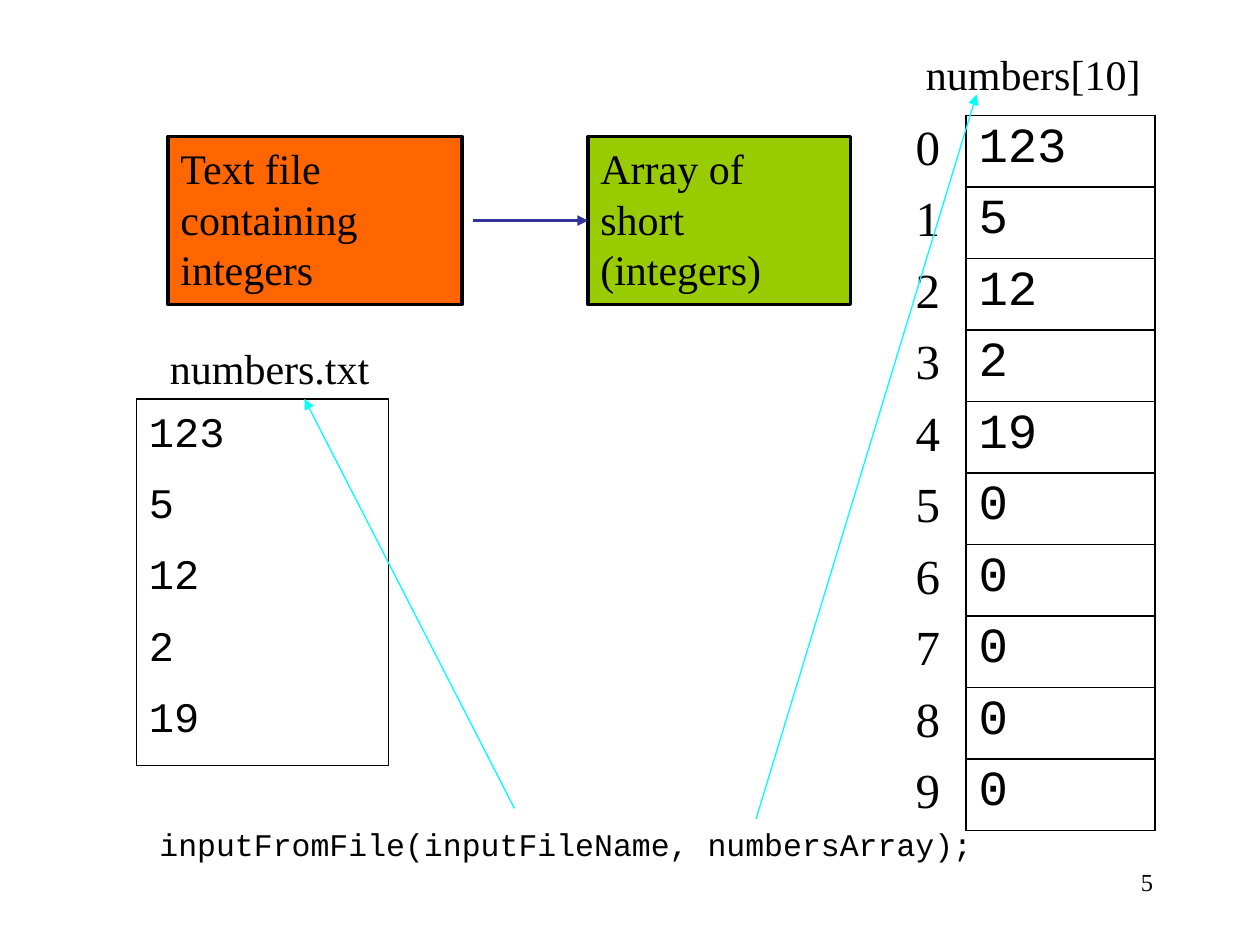
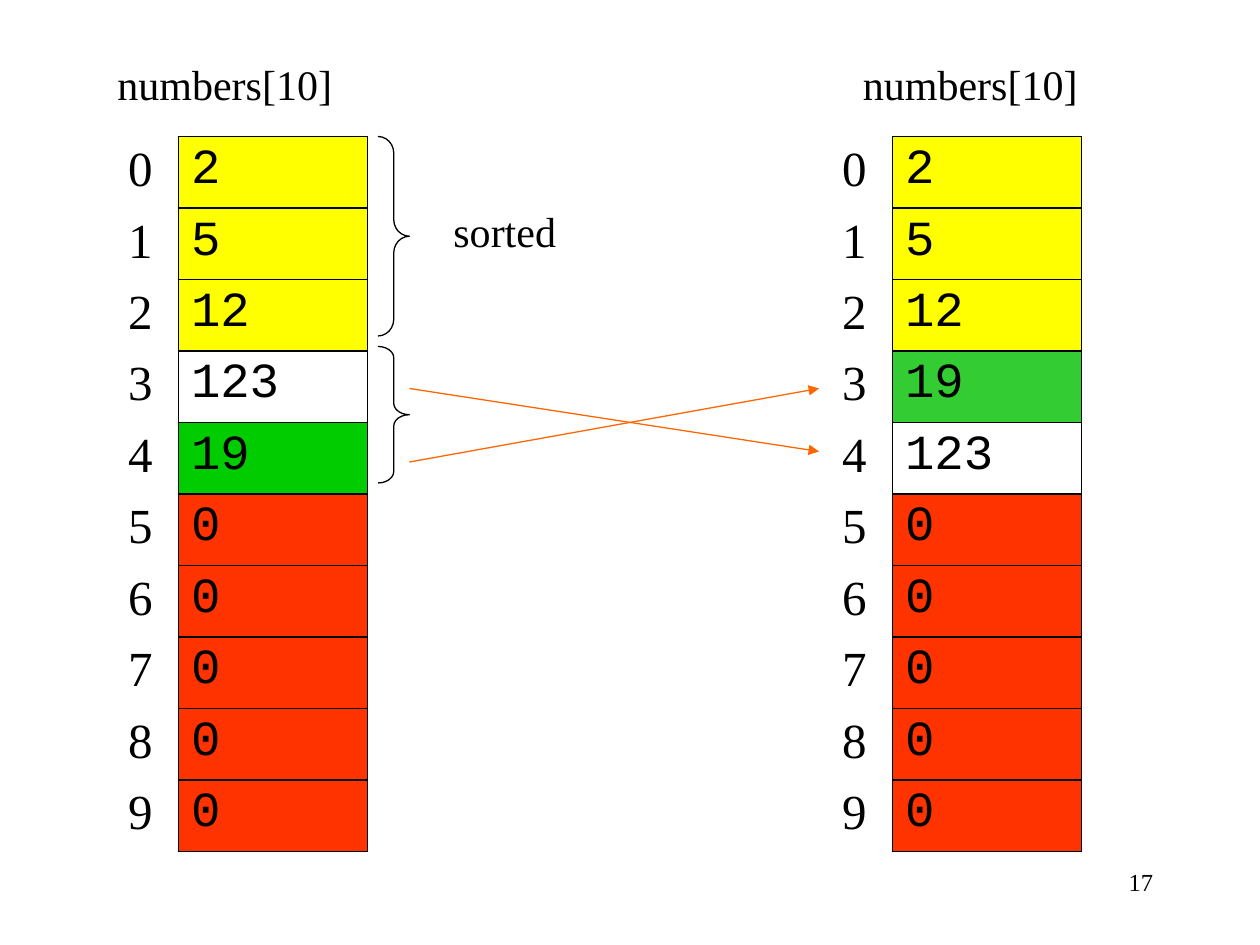
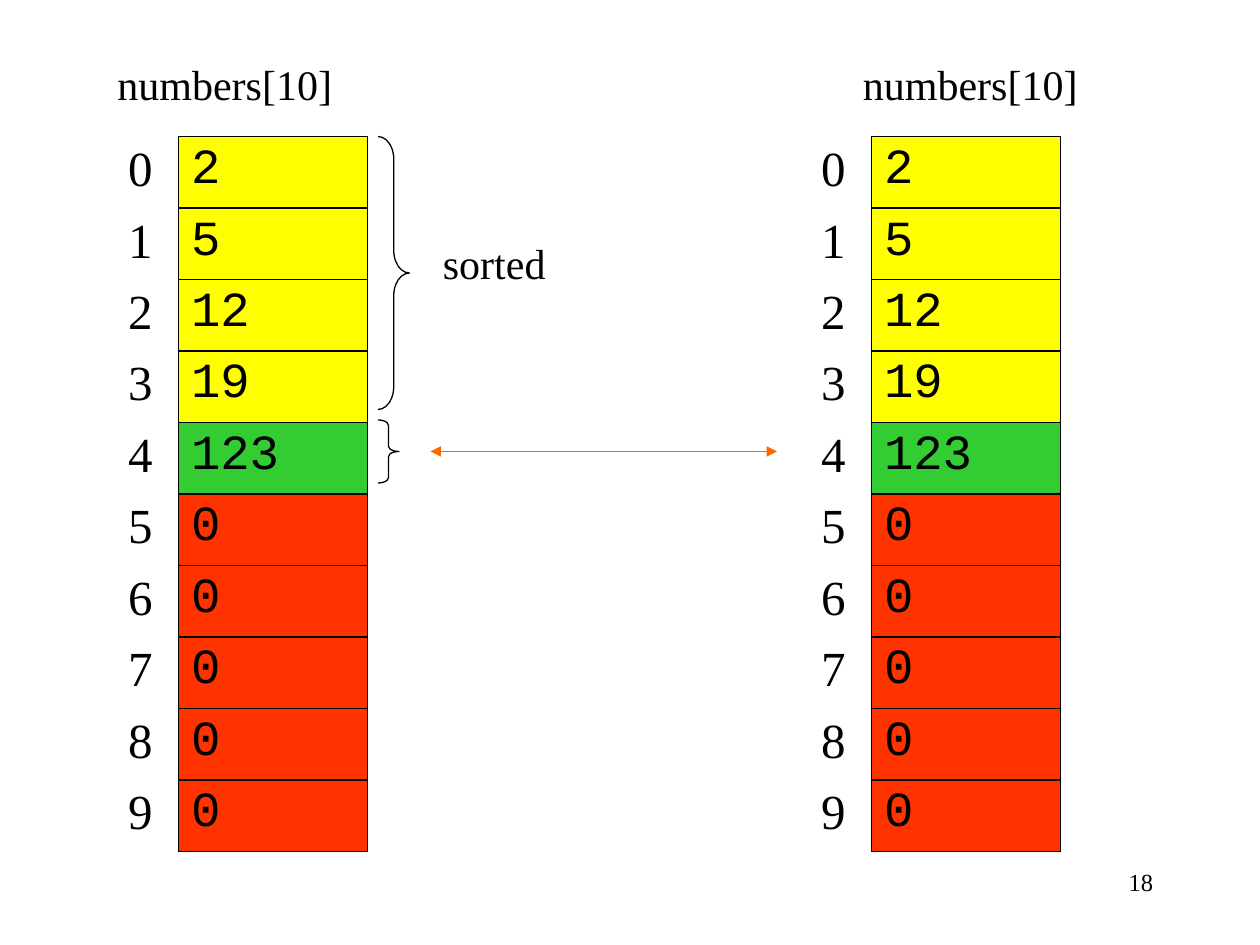
from lxml import etree
from pptx import Presentation
from pptx.dml.color import RGBColor
from pptx.enum.shapes import MSO_CONNECTOR as Connector, MSO_SHAPE as Shape
from pptx.enum.text import MSO_ANCHOR as Anchor, PP_ALIGN as Align
from pptx.oxml.ns import qn
from pptx.util import Pt

PX = 6350  # EMU per px, 144 px to the inch
SERIF, MONO = "Times New Roman", "Courier New"
BLACK, CYAN, NAVY = "000000", "00FFFF", "333399"
ORANGE, LIME = "FF6600", "99CC00"
YELLOW, GREEN, BRIGHT_GREEN, RED = "FFFF00", "33CC33", "00CC00", "FF3300"
INDEX_WIDTH, VALUE_WIDTH, TABLE_HEIGHT = 72, 216, 816


def paint(fill, colour):
    """Give a fill a solid colour, or make it transparent."""
    if colour is None:
        fill.background()
    else:
        fill.solid()
        fill.fore_color.rgb = RGBColor.from_string(colour)


def write(frame, text, font=SERIF, size=24, align=Align.LEFT, before=50):
    """Write one paragraph per line, spaced by a percentage of the text size."""
    frame.word_wrap = True
    for number, line in enumerate(text.split("\n")):
        para = frame.add_paragraph() if number else frame.paragraphs[0]
        para.alignment = align
        if before:
            spacing = etree.SubElement(para._p.get_or_add_pPr(), qn("a:spcBef"))
            etree.SubElement(spacing, qn("a:spcPct"), val=str(before * 1000))
        span = para.add_run()
        span.text = line
        span.font.name = font
        span.font.size = Pt(size)
        paint(span.font.fill, BLACK)


# Content: places are left, top, width, height; arrows run from x, y to x, y
pages = [
    dict(
        number="5",
        boxes=[
            ((192, 156, 336, 192), "Text file containing integers", SERIF, ORANGE, 2),
            ((156, 456, 288, 419), "123\n5\n12\n2\n19", MONO, None, 0.75),
            ((672, 156, 300, 192), "Array of short (integers)", SERIF, LIME, 2),
        ],
        labels=[
            ((180, 384, 348, 72), "numbers.txt", SERIF, 24),
            ((1044, 48, 312, 72), "numbers[10]", SERIF, 24),
            ((168, 936, 960, 58), "inputFromFile(inputFileName, numbersArray);", MONO, 18),
        ],
        tables=[(1032, 132, [123, 5, 12, 2, 19], [None] * 10)],
        braces=[],
        arrows=[
            ((540, 252, 672, 252), NAVY, 2, ["tailEnd"]),
            ((588, 924, 348, 456), CYAN, 0.75, ["tailEnd"]),
            ((864, 936, 1116, 108), CYAN, 0.75, ["tailEnd"]),
        ],
    ),
    dict(
        number="17",
        boxes=[],
        labels=[
            ((120, 60, 312, 72), "numbers[10]", SERIF, 24),
            ((972, 60, 312, 72), "numbers[10]", SERIF, 24),
            ((504, 228, 168, 72), "sorted", SERIF, 24),
        ],
        tables=[
            (132, 156, [2, 5, 12, 123, 19], [YELLOW] * 3 + [None, BRIGHT_GREEN] + [RED] * 5),
            (948, 156, [2, 5, 12, 19, 123], [YELLOW] * 3 + [GREEN, None] + [RED] * 5),
        ],
        braces=[((432, 156, 36, 228), 0.53), ((432, 396, 36, 156), 0.36)],
        arrows=[
            ((468, 528, 936, 444), ORANGE, 0.75, ["tailEnd"]),
            ((468, 444, 936, 516), ORANGE, 0.75, ["tailEnd"]),
        ],
    ),
    dict(
        number="18",
        boxes=[],
        labels=[
            ((120, 60, 312, 72), "numbers[10]", SERIF, 24),
            ((972, 60, 312, 72), "numbers[10]", SERIF, 24),
            ((492, 264, 168, 72), "sorted", SERIF, 24),
        ],
        tables=[
            (left, 156, [2, 5, 12, 19, 123], [YELLOW] * 4 + [GREEN] + [RED] * 5)
            for left in (132, 924)
        ],
        braces=[((432, 156, 36, 312), 0.72), ((432, 480, 24, 72), 0.25)],
        arrows=[((492, 516, 888, 516), ORANGE, 0.75, ["headEnd", "tailEnd"])],
    ),
]

deck = Presentation()
deck.slide_width, deck.slide_height = 1440 * PX, 1080 * PX

for content in pages:
    page = deck.slides.add_slide(deck.slide_layouts[6])

    # Boxes with text
    for place, text, font, fill, weight in content["boxes"]:
        box = page.shapes.add_shape(Shape.RECTANGLE, *[n * PX for n in place])
        box.shadow.inherit = False
        paint(box.fill, fill)
        paint(box.line.fill, BLACK)
        box.line.width = Pt(weight)
        box.text_frame.vertical_anchor = Anchor.TOP
        write(box.text_frame, text, font=font)

    # Labels and page number
    for place, text, font, size in content["labels"]:
        label = page.shapes.add_textbox(*[n * PX for n in place])
        write(label.text_frame, text, font=font, size=size)
    footer = page.shapes.add_textbox(*[n * PX for n in (1032, 984, 300, 72)])
    write(footer.text_frame, content["number"], size=14, align=Align.RIGHT, before=0)

    # Arrays: an index column and a bordered value column, padded with zeros
    for left, top, values, fills in content["tables"]:
        place = (left, top, INDEX_WIDTH + VALUE_WIDTH, TABLE_HEIGHT)
        table = page.shapes.add_table(10, 2, *[n * PX for n in place]).table
        table.first_row = table.horz_banding = False
        table.columns[0].width = INDEX_WIDTH * PX
        table.columns[1].width = VALUE_WIDTH * PX
        values = values + [0] * (10 - len(values))
        for index, (value, fill) in enumerate(zip(values, fills)):
            columns = [
                (index, SERIF, None, ["lnR"]),
                (value, MONO, fill, ["lnL", "lnR", "lnT", "lnB"]),
            ]
            for column, (text, font, colour, drawn) in enumerate(columns):
                cell = table.cell(index, column)
                write(cell.text_frame, str(text), font=font, size=28, before=20)
                for side in ("lnL", "lnR", "lnT", "lnB"):
                    edge = etree.SubElement(
                        cell._tc.get_or_add_tcPr(), qn("a:" + side), w=str(Pt(1)))
                    if side in drawn:
                        ink = etree.SubElement(edge, qn("a:solidFill"))
                        etree.SubElement(ink, qn("a:srgbClr"), val=BLACK)
                    else:
                        etree.SubElement(edge, qn("a:noFill"))
                paint(cell.fill, colour)

    # Braces
    for place, curl in content["braces"]:
        brace = page.shapes.add_shape(Shape.RIGHT_BRACE, *[n * PX for n in place])
        brace.shadow.inherit = False
        brace.adjustments[0] = curl
        paint(brace.fill, None)
        paint(brace.line.fill, BLACK)
        brace.line.width = Pt(0.75)

    # Arrows
    for ends, colour, weight, heads in content["arrows"]:
        arrow = page.shapes.add_connector(Connector.STRAIGHT, *[n * PX for n in ends])
        paint(arrow.line.fill, colour)
        arrow.line.width = Pt(weight)
        for head in heads:
            etree.SubElement(arrow.line._get_or_add_ln(), qn("a:" + head), type="triangle")
        etree.SubElement(arrow._element.spPr, qn("a:effectLst"))
        if colour == NAVY:
            arrow.end_connect(box, 1)  # the array box is the last one made

deck.save("out.pptx")
